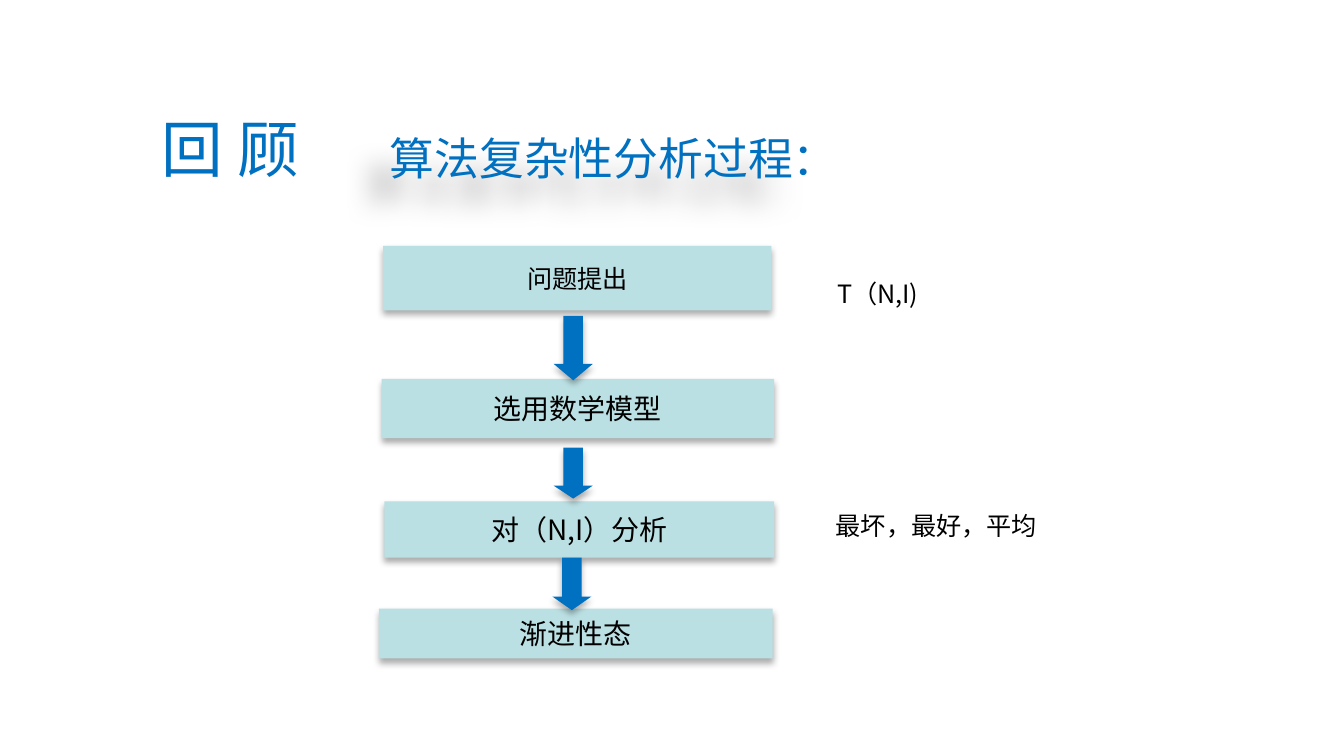
import lxml.etree
import pptx
import pptx.dml.color
import pptx.enum.shapes
import pptx.enum.text
import pptx.oxml.ns
import pptx.util

FONT = "Noto Sans CJK SC"
BLUE, PALE, BLACK = "0070C0", "BBE0E3", "000000"
SHAPE = pptx.enum.shapes.MSO_SHAPE
ALIGN = pptx.enum.text.PP_ALIGN
ANCHOR = pptx.enum.text.MSO_ANCHOR
qn = pptx.oxml.ns.qn


def px(n):
    """Turn px, 100 to the inch, into EMU."""
    return pptx.util.Emu(n * 9144)


def color(code):
    return pptx.dml.color.RGBColor.from_string(code)


def shade(shape, alpha, blur, dist, angle):
    """Cast a black shadow: alpha in percent, blur and dist in points."""
    shape.shadow.inherit = False
    effects = shape._element.spPr.find(qn("a:effectLst"))
    outer = lxml.etree.SubElement(
        effects, qn("a:outerShdw"), blurRad=str(int(blur * 12700)),
        dist=str(int(dist * 12700)), dir=str(angle * 60000),
        algn="ctr", rotWithShape="0")
    tint = lxml.etree.SubElement(outer, qn("a:srgbClr"), val=BLACK)
    lxml.etree.SubElement(tint, qn("a:alpha"), val=str(alpha * 1000))


def write(shape, text, size, code, align=ALIGN.LEFT, anchor=ANCHOR.TOP,
          wrap=True, side=8, edge=4):
    frame = shape.text_frame
    frame.word_wrap = wrap
    frame.vertical_anchor = anchor
    frame.margin_left = frame.margin_right = px(side)
    frame.margin_top = frame.margin_bottom = px(edge)
    para = frame.paragraphs[0]
    para.alignment = align
    run = para.add_run()
    run.text = text
    run.font.size = pptx.util.Pt(size)
    run.font.color.rgb = color(code)
    run.font.name = FONT
    lxml.etree.SubElement(run.font._element, qn("a:ea"), typeface=FONT)
    return para


def title(slide, box, text):
    shape = slide.shapes.title
    shape.left, shape.top, shape.width, shape.height = map(px, box)
    para = write(shape, text, 33, BLUE, ALIGN.CENTER, ANCHOR.BOTTOM,
                 side=10, edge=5)
    para.line_spacing = 0.8


def label(slide, box, text, size=13.5, code=BLACK):
    shape = slide.shapes.add_textbox(*map(px, box))
    write(shape, text, size, code)
    shape.text_frame.auto_size = pptx.enum.text.MSO_AUTO_SIZE.SHAPE_TO_FIT_TEXT
    return shape


def solid(slide, kind, box, code):
    shape = slide.shapes.add_shape(kind, *map(px, box))
    shape.fill.solid()
    shape.fill.fore_color.rgb = color(code)
    shape.line.fill.background()
    shade(shape, 32, 3.5, 2.2, 90)
    return shape


def flow(slide, left, top, steps, arrows):
    """Draw the steps and the arrows between them from one corner."""
    for (x, y, w, h), text, size in steps:
        shape = solid(slide, SHAPE.RECTANGLE, (left + x, top + y, w, h), PALE)
        write(shape, text, size, BLACK, ALIGN.CENTER, ANCHOR.MIDDLE, False)
    for (x, y, w, h), head in arrows:
        shape = solid(slide, SHAPE.DOWN_ARROW, (left + x, top + y, w, h), BLUE)
        shape.adjustments[0] = 0.5
        shape.adjustments[1] = head


def main():
    deck = pptx.Presentation()
    deck.slide_width = px(1000)
    deck.slide_height = deck.slide_width * 9 // 16
    slide = deck.slides.add_slide(deck.slide_layouts[5])

    title(slide, (80, 81, 183, 61), "回 顾")
    topic = label(slide, (282, 93, 354, 48), "算法复杂性分析过程：", 24, BLUE)
    shade(topic, 28, 13, 20, 135)

    steps = [
        ((3, 0, 289, 48), "问题提出", 13.5),
        ((2, 99, 292, 44), "选用数学模型", 15),
        ((4, 190, 290, 42), "对（N,I）分析", 15),
        ((0, 270, 293, 37), "渐进性态", 15),
    ]
    arrows = [
        ((130, 52, 29, 48), 0.42),
        ((130, 150, 29, 38), 0.33),
        ((129, 232, 29, 39), 0.35),
    ]
    flow(slide, 282, 183, steps, arrows)

    label(slide, (615, 203, 120, 30), "T（N,I)")
    label(slide, (614, 376, 194, 30), "最坏，最好，平均")
    deck.save("out.pptx")


if __name__ == "__main__":
    main()
